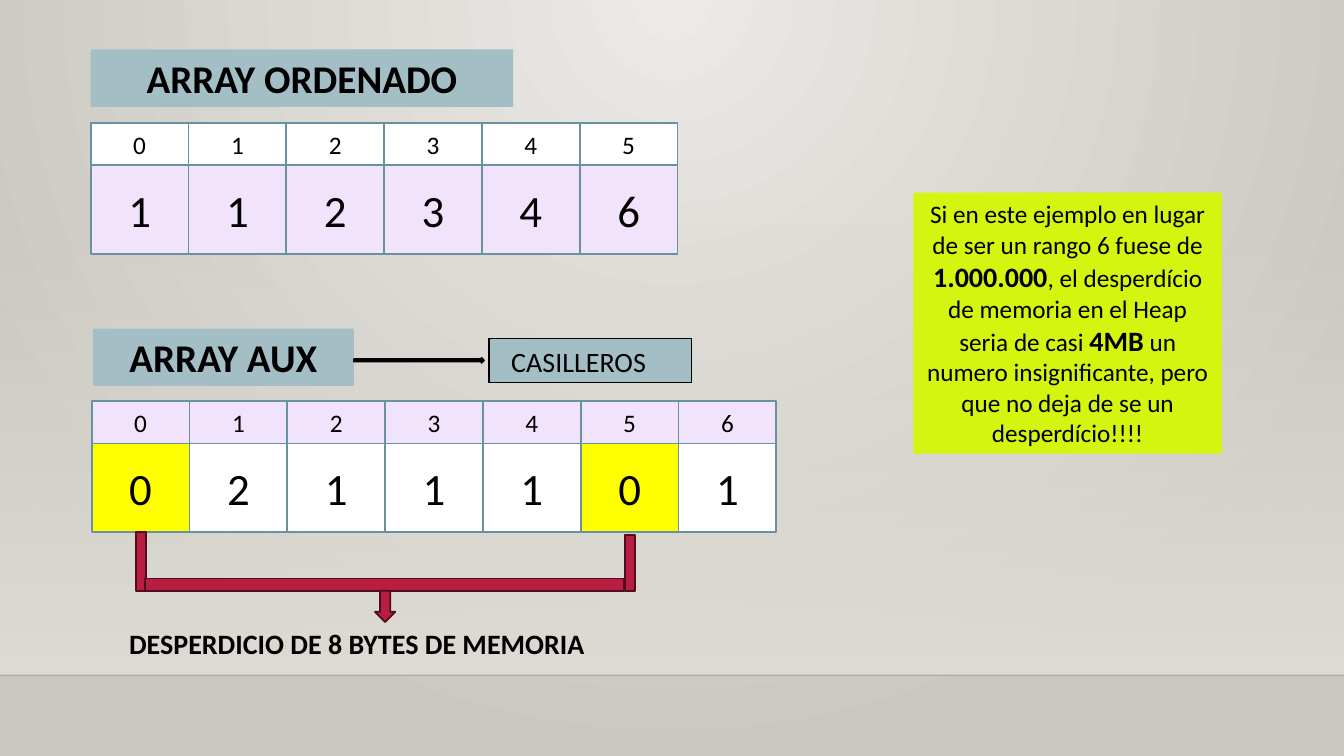
from lxml.etree import SubElement
from pptx import Presentation
from pptx.dml.color import RGBColor
from pptx.enum.shapes import MSO_CONNECTOR, MSO_SHAPE
from pptx.enum.text import MSO_ANCHOR, MSO_AUTO_SIZE, PP_ALIGN
from pptx.oxml.ns import qn
from pptx.util import Inches, Pt

COLORS = {
    "black": "000000", "white": "FFFFFF", "heading": "A4BEC6",
    "lilac": "F2E3FC", "yellow": "FFFF00", "lime": "D4F50F",
    "cell_line": "6892A0", "red": "B71E42", "red_line": "500D1D",
    "glow": "ECEAE7", "edge": "CAC7C1", "floor": "DFDBD5",
}


def write(shape, *pieces, size=18, bold=False, align=PP_ALIGN.CENTER, wrap=True, left=0.1):
    frame = shape.text_frame
    frame.word_wrap = wrap
    frame.auto_size = MSO_AUTO_SIZE.NONE
    frame.vertical_anchor = MSO_ANCHOR.MIDDLE
    frame.margin_left = Inches(left)
    para = frame.paragraphs[0]
    para.alignment = align
    for piece in pieces:
        text, span_size, span_bold = piece if isinstance(piece, tuple) else (piece, size, bold)
        span = para.add_run()
        span.text = text
        span.font.name = "Calibri"
        span.font.size = Pt(span_size)
        span.font.bold = span_bold
        span.font.color.rgb = RGBColor.from_string(COLORS["black"])


def add_box(left, top, width, height, fill, line=None, weight=1.25, kind=MSO_SHAPE.RECTANGLE):
    box = page.shapes.add_shape(kind, Inches(left), Inches(top), Inches(width), Inches(height))
    box.shadow.inherit = False
    box.fill.solid()
    box.fill.fore_color.rgb = RGBColor.from_string(COLORS[fill])
    if line:
        box.line.color.rgb = RGBColor.from_string(COLORS[line])
        box.line.width = Pt(weight)
    else:
        box.line.fill.background()
    return box


deck = Presentation()
deck.slide_width = Inches(13.33)
deck.slide_height = Inches(7.5)
page = deck.slides.add_slide(deck.slide_layouts[5])

backdrop = page.background.fill
backdrop.gradient()
for stop, name, position in zip(backdrop.gradient_stops, ("glow", "edge"), (0, 1)):
    stop.color.rgb = RGBColor.from_string(COLORS[name])
    stop.position = position
gradient = page.element.find(".//" + qn("a:gradFill"))
gradient.remove(gradient.find(qn("a:lin")))
circle = SubElement(gradient, qn("a:path"), {"path": "circle"})
SubElement(circle, qn("a:fillToRect"), {"l": "43000", "t": "0", "r": "43000", "b": "100000"})

floor = add_box(0, 2.21, 13.33, 4.49, "floor")
floor.fill.gradient()
floor.fill.gradient_angle = 270
for position, stop in enumerate(floor.fill.gradient_stops):
    stop.color.rgb = RGBColor.from_string(COLORS["floor"])
    stop.position = position
SubElement(floor.element.find(".//" + qn("a:srgbClr")), qn("a:alpha"), {"val": "0"})

horizon = page.shapes.add_connector(
    MSO_CONNECTOR.STRAIGHT, Inches(0), Inches(6.7), Inches(13.33), Inches(6.7))
horizon.line.color.rgb = RGBColor.from_string(COLORS["black"])
horizon.line.width = Pt(1)
SubElement(horizon.element.find(".//" + qn("a:srgbClr")), qn("a:alpha"), {"val": "20000"})
SubElement(horizon.element.spPr, qn("a:effectLst"))

title = page.shapes.title
title.left, title.top = Inches(0.9), Inches(0.49)
title.width, title.height = Inches(4.19), Inches(0.57)
title.fill.solid()
title.fill.fore_color.rgb = RGBColor.from_string(COLORS["heading"])
write(title, "ARRAY ORDENADO", size=28, bold=True)

aux_heading = add_box(0.92, 3.26, 2.59, 0.57, "heading")
write(aux_heading, "ARRAY AUX", size=28, bold=True, wrap=False)
add_box(3.51, 3.55, 1.29, 0.05, "black", "black", kind=MSO_SHAPE.RIGHT_ARROW)
slots_label = add_box(4.85, 3.36, 2.01, 0.44, "heading", "black", 0.75)
write(slots_label, "CASILLEROS", size=20, align=PP_ALIGN.LEFT, left=0.22)

CELL_WIDTH, INDEX_HEIGHT, VALUE_HEIGHT = 0.97, 0.42, 0.88
arrays = [
    (0.9, 1.22, "112346", "white", "lilac", "lilac"),
    (0.91, 3.98, "0211101", "lilac", "white", "yellow"),
]
for left, top, values, index_fill, value_fill, zero_fill in arrays:
    for index, value in enumerate(values):
        cell_left = left + index * CELL_WIDTH
        fill = zero_fill if value == "0" else value_fill
        value_cell = add_box(
            cell_left, top + INDEX_HEIGHT, CELL_WIDTH, VALUE_HEIGHT, fill, "cell_line")
        write(value_cell, value, size=32)
        index_cell = add_box(cell_left, top, CELL_WIDTH, INDEX_HEIGHT, index_fill, "cell_line")
        write(index_cell, str(index))

for left, top, width, height in [
    (1.35, 5.28, 0.1, 0.58), (6.2, 5.31, 0.1, 0.55), (1.44, 5.74, 4.75, 0.12),
]:
    add_box(left, top, width, height, "red", "red_line")
add_box(3.72, 5.86, 0.2, 0.31, "red", "red_line", kind=MSO_SHAPE.DOWN_ARROW)

waste_label = page.shapes.add_textbox(Inches(0.78), Inches(6.16), Inches(6.56), Inches(0.44))
write(waste_label, "DESPERDICIO DE 8 BYTES DE MEMORIA", size=20, bold=True,
      align=PP_ALIGN.JUSTIFY, left=0.5)

note = add_box(9.06, 1.91, 3.06, 2.59, "lime")
write(note,
      "Si en este ejemplo en lugar de ser un rango 6 fuese de ",
      ("1.000.000", 20, True),
      ", el desperdício de memoria en el Heap seria de casi ",
      ("4MB", 20, True),
      " un numero insignificante, pero que no deja de se un desperdício!!!!")

deck.save("out.pptx")
